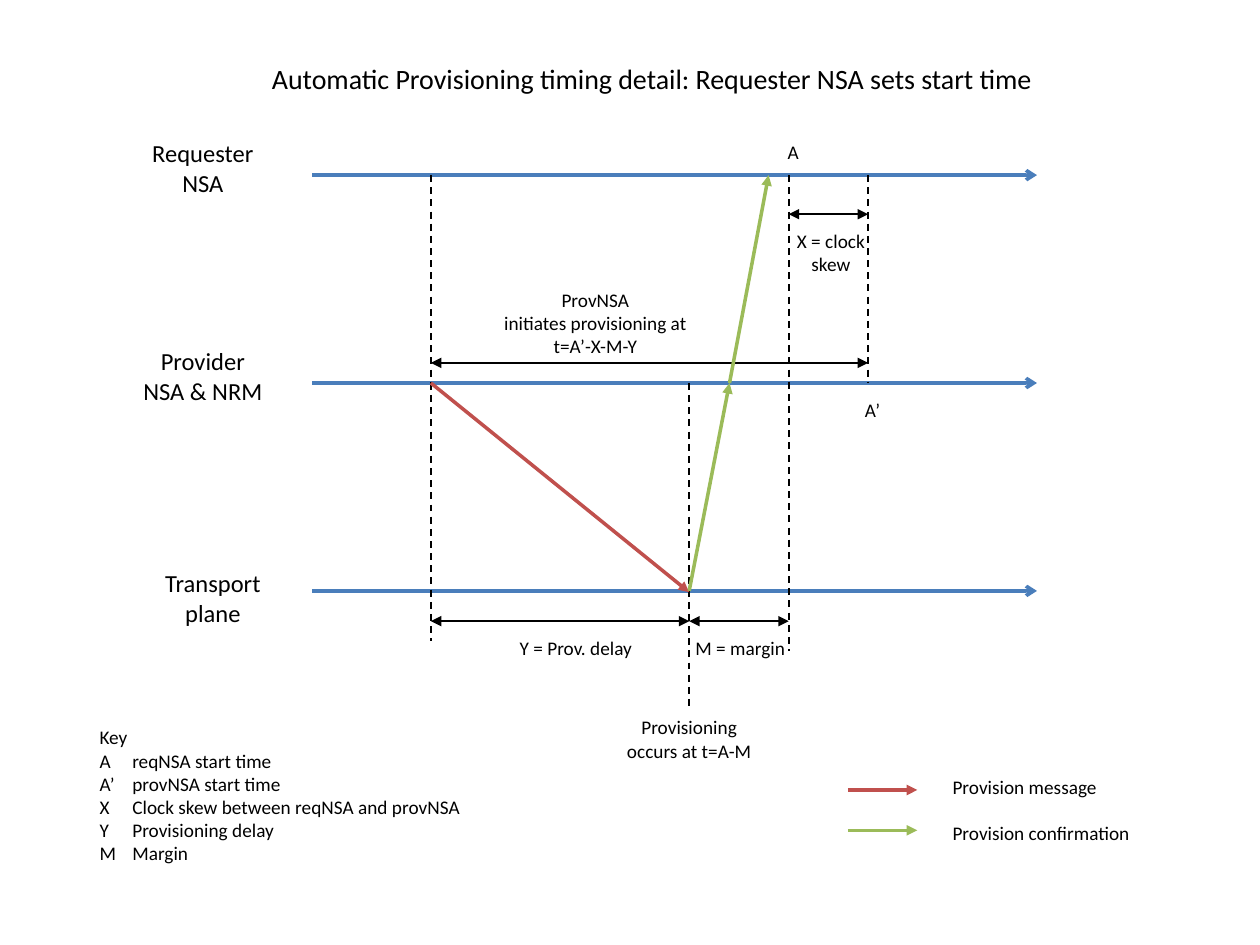
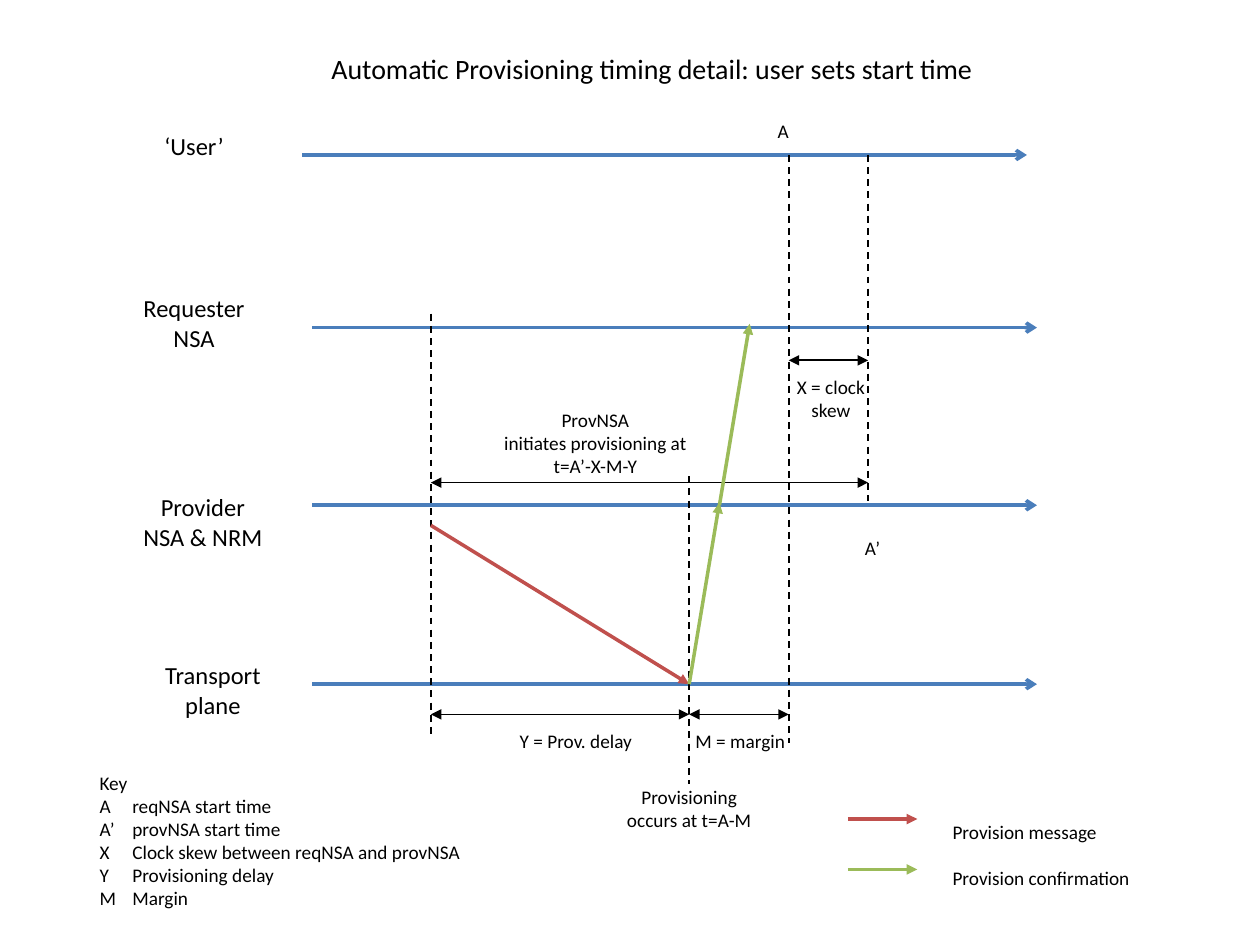
"""Build two timing diagrams of automatic provisioning."""
from dataclasses import dataclass
from typing import NamedTuple

from lxml.etree import SubElement
from pptx import Presentation
from pptx.dml.color import RGBColor
from pptx.enum.dml import MSO_LINE_DASH_STYLE as Dash
from pptx.enum.shapes import MSO_CONNECTOR as Connector
from pptx.enum.text import PP_ALIGN as Align
from pptx.oxml.ns import qn
from pptx.slide import Slide
from pptx.util import Pt

EMU_PER_PX = 9144
FONT = "Calibri"
BLACK = RGBColor(0x00, 0x00, 0x00)
AXIS_BLUE = RGBColor(0x4A, 0x7E, 0xBB)
MESSAGE_RED = RGBColor(0xC0, 0x50, 0x4D)
CONFIRM_GREEN = RGBColor(0x9B, 0xBB, 0x59)

X_INITIATE, X_PROVISION, X_A, X_A_PRIME = 342, 547, 626, 689
AXIS_LENGTH = 575
KEY_TAB = 26
KEY = (
    "Key",
    "A\treqNSA start time",
    "A’\tprovNSA start time",
    "X\tClock skew between reqNSA and provNSA",
    "Y\tProvisioning delay",
    "M\tMargin",
)
LEGEND = ("Provision message", "Provision confirmation")


class TextStyle(NamedTuple):
    size: int
    inset_x: int
    inset_y: int
    align: Align = Align.CENTER
    gap: int = 0
    tab: int = 0


TITLE = TextStyle(16, 10, 5)
LANE = TextStyle(14, 10, 5)
CAPTION = TextStyle(11, 4, 4)
KEY_LIST = TextStyle(11, 4, 4, Align.LEFT, tab=KEY_TAB)
LEGEND_LIST = TextStyle(11, 4, 4, Align.LEFT, gap=13)


class LineStyle(NamedTuple):
    color: RGBColor
    width: int
    head: str = ""
    tail: str = ""
    dashed: bool = False


AXIS = LineStyle(AXIS_BLUE, 2, tail="arrow")
GUIDE = LineStyle(BLACK, 1, dashed=True)
SPAN = LineStyle(BLACK, 1, head="triangle", tail="triangle")
MESSAGE = LineStyle(MESSAGE_RED, 2, tail="triangle")
CONFIRMATION = LineStyle(CONFIRM_GREEN, 2, tail="triangle")


class Box(NamedTuple):
    left: int
    top: int
    width: int
    height: int


class Line(NamedTuple):
    x1: int
    y1: int
    x2: int
    y2: int


class Lane(NamedTuple):
    label: str
    label_left: int
    label_top: int
    axis_y: int
    axis_left: int = 248
    label_height: int = 57


class Guide(NamedTuple):
    x: int
    top: int
    bottom: int


@dataclass(frozen=True)
class Diagram:
    title: str
    title_top: int
    lanes: tuple[Lane, ...]
    guides: tuple[Guide, ...]
    message: Line
    confirmations: tuple[Line, ...]
    skew_y: int
    initiate_y: int
    delay_y: int
    a_left: int
    a_top: int
    a_prime_top: int
    occurs_top: int
    key_top: int
    legend_ys: tuple[int, int]


DIAGRAMS = (
    Diagram(
        title="Automatic Provisioning timing detail: Requester NSA sets start time",
        title_top=44,
        lanes=(
            Lane("Requester\vNSA", 90, 105, 139),
            Lane("Provider\vNSA & NRM", 90, 270, 304),
            Lane("Transport\vplane", 98, 446, 469),
        ),
        guides=(
            Guide(X_INITIATE, 139, 304),
            Guide(X_INITIATE, 304, 509),
            Guide(X_PROVISION, 304, 564),
            Guide(X_A, 139, 517),
            Guide(X_A_PRIME, 139, 304),
        ),
        message=Line(X_INITIATE, 304, X_PROVISION, 470),
        confirmations=(Line(X_PROVISION, 469, 579, 304), Line(579, 304, 610, 139)),
        skew_y=170,
        initiate_y=288,
        delay_y=493,
        a_left=610,
        a_top=107,
        a_prime_top=312,
        occurs_top=564,
        key_top=572,
        legend_ys=(627, 659),
    ),
    Diagram(
        title="Automatic Provisioning timing detail: user sets start time",
        title_top=36,
        lanes=(
            Lane("‘User’", 83, 99, 123, axis_left=240, label_height=34),
            Lane("Requester\vNSA", 83, 228, 260),
            Lane("Provider\vNSA & NRM", 90, 386, 401),
            Lane("Transport\vplane", 98, 519, 543),
        ),
        guides=(
            Guide(X_INITIATE, 249, 583),
            Guide(X_PROVISION, 378, 622),
            Guide(X_A, 123, 590),
            Guide(X_A_PRIME, 123, 398),
        ),
        message=Line(X_INITIATE, 417, X_PROVISION, 543),
        confirmations=(Line(X_PROVISION, 543, 571, 399), Line(571, 401, 595, 257)),
        skew_y=286,
        initiate_y=383,
        delay_y=567,
        a_left=602,
        a_top=91,
        a_prime_top=422,
        occurs_top=619,
        key_top=608,
        legend_ys=(650, 690),
    ),
)


def px(length: int) -> int:
    """Turn px into EMU."""
    return length * EMU_PER_PX


def add_text(slide: Slide, box: Box, style: TextStyle, *lines: str) -> None:
    """Add a wrapped text box with one paragraph per line."""
    frame = slide.shapes.add_textbox(*map(px, box)).text_frame
    frame.word_wrap = True
    frame.margin_left = frame.margin_right = px(style.inset_x)
    frame.margin_top = frame.margin_bottom = px(style.inset_y)
    for index, line in enumerate(lines):
        paragraph = frame.add_paragraph() if index else frame.paragraphs[0]
        paragraph.text = line
        paragraph.alignment = style.align
        if style.tab:
            tabs = SubElement(paragraph._p.get_or_add_pPr(), qn("a:tabLst"))
            SubElement(tabs, qn("a:tab"), pos=str(px(style.tab)), algn="l")
        if index and style.gap:
            paragraph.space_before = Pt(style.gap)
        paragraph.font.name = FONT
        paragraph.font.size = Pt(style.size)
        paragraph.font.color.rgb = BLACK


def add_line(slide: Slide, line: Line, style: LineStyle) -> None:
    """Add a straight connector with optional dashes and arrowheads."""
    connector = slide.shapes.add_connector(Connector.STRAIGHT, *map(px, line))
    connector.line.color.rgb = style.color
    connector.line.width = Pt(style.width)
    if style.dashed:
        connector.line.dash_style = Dash.DASH
    properties = connector._element.spPr
    outline = properties.find(qn("a:ln"))
    for tag, kind in (("a:headEnd", style.head), ("a:tailEnd", style.tail)):
        if kind:
            SubElement(outline, qn(tag), type=kind)
    SubElement(properties, qn("a:effectLst"))


def add_span(slide: Slide, left: int, right: int, y: int) -> None:
    """Add a horizontal double-headed interval arrow."""
    add_line(slide, Line(left, y, right, y), SPAN)


def draw_lanes(slide: Slide, diagram: Diagram) -> None:
    """Draw the time axes with their names and the dashed guides."""
    for lane in diagram.lanes:
        right = lane.axis_left + AXIS_LENGTH
        add_line(slide, Line(lane.axis_left, lane.axis_y, right, lane.axis_y), AXIS)
        label_box = Box(lane.label_left, lane.label_top, 142, lane.label_height)
        add_text(slide, label_box, LANE, lane.label)
    for guide in diagram.guides:
        add_line(slide, Line(guide.x, guide.top, guide.x, guide.bottom), GUIDE)


def draw_intervals(slide: Slide, diagram: Diagram) -> None:
    """Draw the interval arrows and the captions of times and intervals."""
    add_span(slide, X_A, X_A_PRIME, diagram.skew_y)
    add_span(slide, X_INITIATE, X_A_PRIME, diagram.initiate_y)
    add_span(slide, X_INITIATE, X_PROVISION, diagram.delay_y)
    add_span(slide, X_PROVISION, X_A, diagram.delay_y)
    delay_top = diagram.delay_y + 8
    captions = (
        ("X = clock skew", Box(616, diagram.skew_y + 8, 87, 45)),
        ("ProvNSA\vinitiates provisioning at\vt=A’-X-M-Y",
         Box(390, diagram.initiate_y - 63, 165, 63)),
        ("Y = Prov. delay", Box(406, delay_top, 102, 26)),
        ("M = margin", Box(544, delay_top, 87, 26)),
        ("A", Box(diagram.a_left, diagram.a_top, 39, 26)),
        ("A’", Box(673, diagram.a_prime_top, 39, 26)),
        ("Provisioning\voccurs at t=A-M", Box(484, diagram.occurs_top, 126, 45)),
    )
    for text, box in captions:
        add_text(slide, box, CAPTION, text)


def draw_legend(slide: Slide, diagram: Diagram) -> None:
    """Draw the key of symbols and the legend of arrow colours."""
    add_text(slide, Box(75, diagram.key_top, 315, 136), KEY_LIST, *KEY)
    for y, style in zip(diagram.legend_ys, (MESSAGE, CONFIRMATION)):
        add_line(slide, Line(673, y, 728, y), style)
    add_text(slide, Box(752, diagram.key_top + 39, 213, 81), LEGEND_LIST, *LEGEND)


def draw_diagram(slide: Slide, diagram: Diagram) -> None:
    """Draw one complete timing diagram."""
    add_text(slide, Box(169, diagram.title_top, 697, 37), TITLE, diagram.title)
    draw_lanes(slide, diagram)
    draw_intervals(slide, diagram)
    add_line(slide, diagram.message, MESSAGE)
    for confirmation in diagram.confirmations:
        add_line(slide, confirmation, CONFIRMATION)
    draw_legend(slide, diagram)


def main() -> None:
    """Build and save the presentation."""
    presentation = Presentation()
    presentation.slide_width, presentation.slide_height = px(1000), px(750)
    for diagram in DIAGRAMS:
        slide = presentation.slides.add_slide(presentation.slide_layouts[6])
        draw_diagram(slide, diagram)
    presentation.save("out.pptx")


if __name__ == "__main__":
    main()
